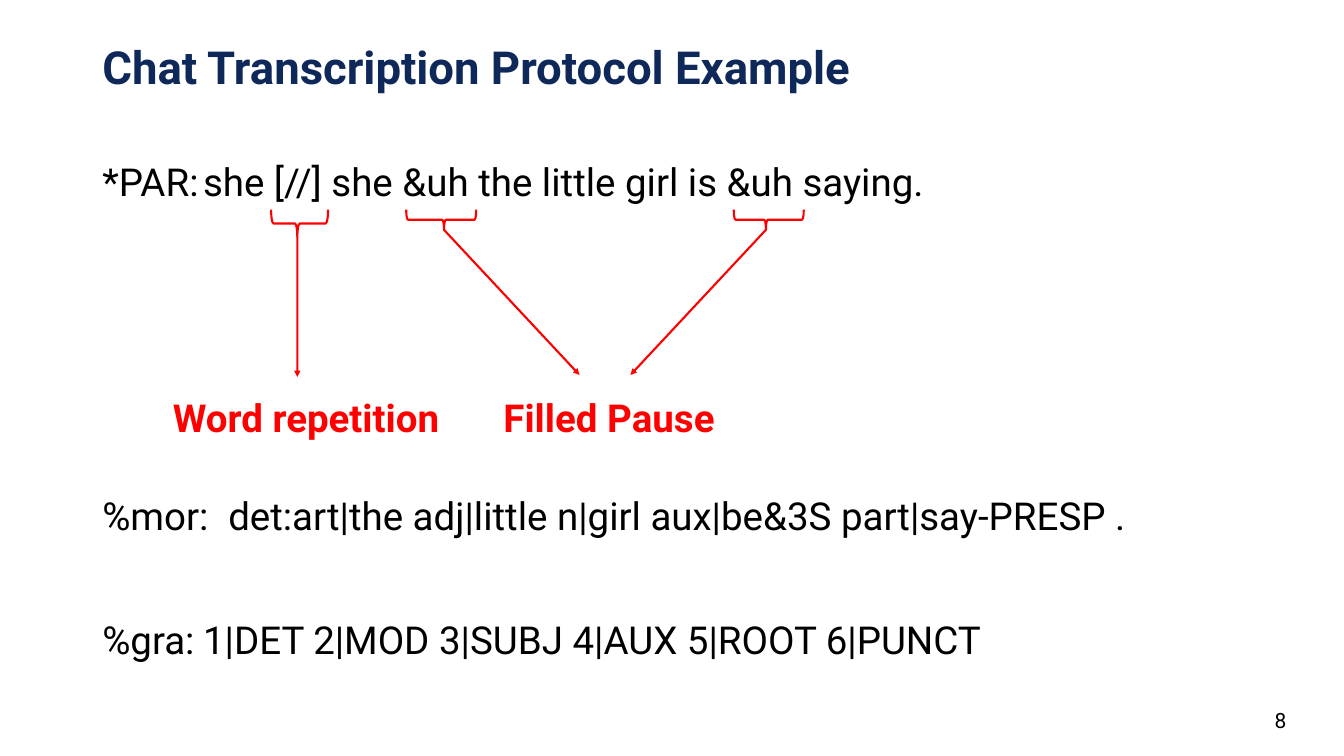
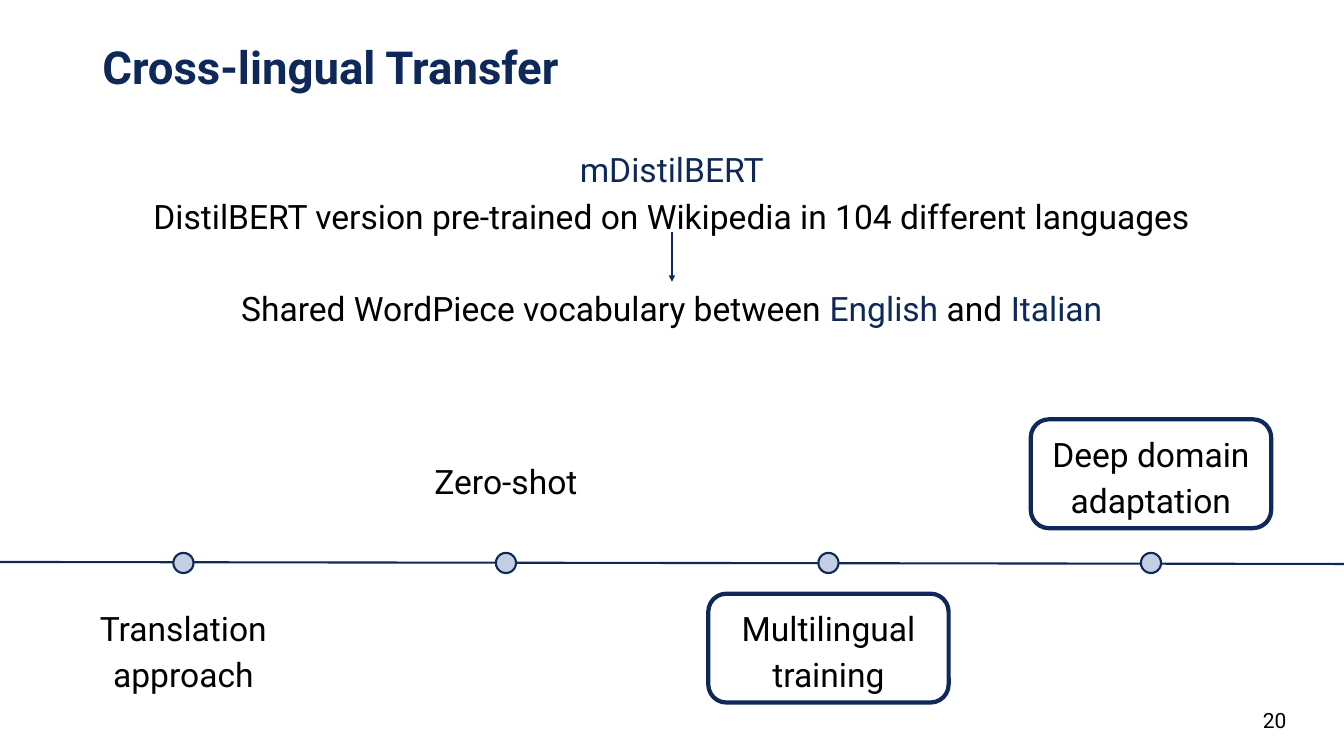
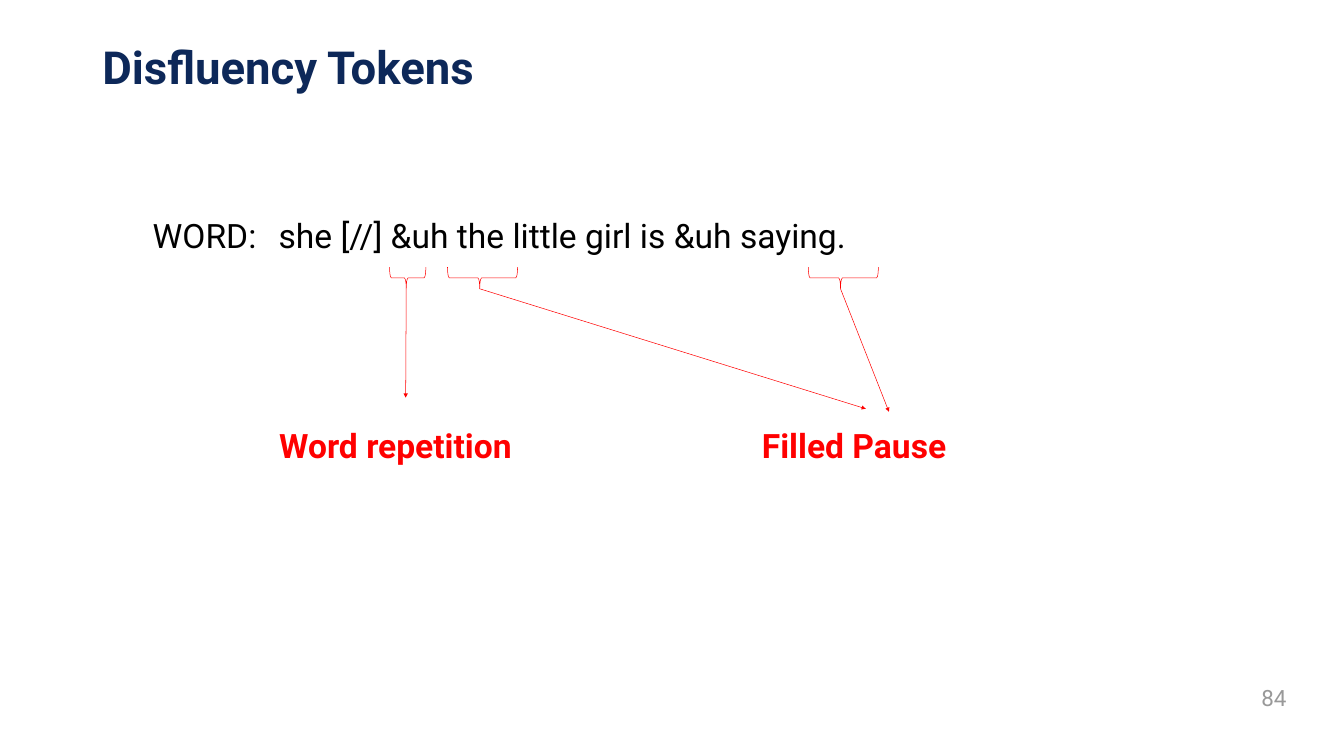
from lxml.etree import SubElement
from pptx import Presentation
from pptx.dml.color import RGBColor
from pptx.enum.shapes import MSO_CONNECTOR as Connector, MSO_SHAPE as Shape
from pptx.enum.text import MSO_ANCHOR as Anchor, MSO_AUTO_SIZE as AutoSize, PP_ALIGN as Align
from pptx.oxml.ns import qn
from pptx.util import Inches, Pt

# Shared look
WIDTH, HEIGHT = 26.67, 15
MARGIN, BODY_WIDTH = 1.83, 23
FONT = "Roboto"
COLORS = {"navy": "0D2859", "red": "FF0000", "black": "000000",
          "white": "FFFFFF", "pale": "C3CEE3", "grey": "999999"}
BRACE_CURVE, BRACE_TIP = 0.083, 0.54

# Chat transcription: (text, space before in points)
TRANSCRIPT = [("*PAR:\tshe [//] she &uh the little girl is &uh saying.", 0),
              ("%mor:\tdet:art|the adj|little n|girl aux|be&3S part|say-PRESP .", 417),
              ("%gra:\t1|DET 2|MOD 3|SUBJ 4|AUX 5|ROOT 6|PUNCT", 119)]
# Callouts: brace left, top, span, depth, tip share from the right, arrow end
TRANSCRIPT_CALLOUTS = [(5.38, 4.16, 1.13, 0.55, BRACE_TIP, (5.9, 7.48)),
                       (14.56, 4.16, 1.39, 0.4, BRACE_TIP, (12.51, 7.44)),
                       (8.06, 4.16, 1.39, 0.4, 1 - BRACE_TIP, (11.5, 7.44))]
TRANSCRIPT_LABELS = [("Word repetition", 2.23), ("Filled Pause", 8.79)]

# Disfluency tokens
WORD_LINE = "WORD:\tshe [//] &uh the little girl is &uh saying."
TOKEN_CALLOUTS = [(7.73, 5.3, 0.72, 0.43, BRACE_TIP, (8.05, 7.89)),
                  (8.88, 5.3, 1.39, 0.43, BRACE_TIP, (17.18, 8.11)),
                  (16.04, 5.3, 1.39, 0.43, BRACE_TIP, (17.64, 8.17))]
TOKEN_LABELS = [("Word repetition", 4.34), ("Filled Pause", 13.92)]
LABEL_SIZE = (7.43, 1.78)

# Cross-lingual transfer: (lines, label top, framed)
ABOVE, BELOW = 8.32, 11.78
STAGES = [(["Translation", "approach"], BELOW, False),
          (["Zero-shot"], ABOVE + 0.08, False),
          (["Multilingual", "training"], BELOW, True),
          (["Deep domain", "adaptation"], ABOVE, True)]
FIRST_STOP, STOP_GAP, STOP_Y, DOT = 3.64, 6.4, 11.17, 0.4
STAGE_WIDTH, FRAME_WIDTH, STAGE_HEIGHT = 5.97, 4.77, 2.16
MODEL_NAME = "mDistilBERT"
MODEL_NOTE = "DistilBERT version pre-trained on Wikipedia in 104 different languages"
VOCABULARY = [("Shared WordPiece vocabulary between ", "black"), ("English ", "navy"),
              ("and ", "black"), ("Italian", "navy")]


def color(name):
    return RGBColor.from_string(COLORS[name])


def set_frame(frame, anchor=Anchor.TOP, insets=(0.2, 0.1)):
    frame.word_wrap = True
    frame.auto_size = AutoSize.NONE
    frame.vertical_anchor = anchor
    frame.margin_left = frame.margin_right = Inches(insets[0])
    frame.margin_top = frame.margin_bottom = Inches(insets[1])
    return frame


def add_box(page, left, top, width, height, **options):
    box = page.shapes.add_textbox(*map(Inches, (left, top, width, height)))
    return set_frame(box.text_frame, **options)


def add_span(para, text, size, tint="black", bold=False):
    span = para.add_run()
    span.text = text
    span.font.name, span.font.size, span.font.bold = FONT, Pt(size), bold
    span.font.color.rgb = color(tint)


def add_para(frame, spans, size, align=Align.LEFT, spacing=0.9, before=0, indent=0, bold=False):
    para = frame.paragraphs[0]
    if para.runs:
        para = frame.add_paragraph()
    para.alignment, para.line_spacing = align, spacing
    if before:
        para.space_before = Pt(before)
    if indent:
        properties = para._p.get_or_add_pPr()
        properties.set("marL", str(Inches(indent)))
        properties.set("indent", "0")
    for text, tint in spans:
        add_span(para, text, size, tint, bold)
    return para


def add_shape(page, kind, left, top, width, height, line, points, fill=None):
    shape = page.shapes.add_shape(kind, *map(Inches, (left, top, width, height)))
    shape.shadow.inherit = False
    if fill:
        shape.fill.solid()
        shape.fill.fore_color.rgb = color(fill)
    else:
        shape.fill.background()
    shape.line.color.rgb, shape.line.width = color(line), Pt(points)
    return shape


def add_line(page, start, end, tint, points, arrow=True):
    line = page.shapes.add_connector(Connector.STRAIGHT, *map(Inches, (*start, *end)))
    line.line.color.rgb, line.line.width = color(tint), Pt(points)
    if arrow:
        SubElement(line.line._get_or_add_ln(), qn("a:tailEnd"), type="triangle")
    SubElement(line._element.spPr, qn("a:effectLst"))


def add_callout(page, left, top, span, depth, tip, end, points):
    """Brace under a token, with an arrow from its tip."""
    middle_x, middle_y = left + span / 2, top + depth / 2
    brace = add_shape(page, Shape.RIGHT_BRACE, middle_x - depth / 2, middle_y - span / 2,
                      depth, span, "red", points)
    brace.rotation = 90
    brace.adjustments[0], brace.adjustments[1] = BRACE_CURVE, tip
    add_line(page, (left + span * (1 - tip), top + depth), end, "red", points)


def add_page(deck, title, title_height=1.16):
    page = deck.slides.add_slide(deck.slide_layouts[5])
    page.background.fill.solid()
    page.background.fill.fore_color.rgb = color("white")
    holder = page.shapes.title
    holder.left, holder.top = Inches(MARGIN), Inches(0.8)
    holder.width, holder.height = Inches(BODY_WIDTH), Inches(title_height)
    add_para(set_frame(holder.text_frame), [(title, "navy")], 65, bold=True)
    return page


def add_number(page, number, top=13.91, height=0.76, size=30, tint="black", anchor=Anchor.MIDDLE):
    frame = add_box(page, 24.01, top, 1.58, height, anchor=anchor, insets=(0.06, 0.06))
    add_para(frame, [(number, tint)], size, Align.RIGHT, spacing=1.0)


def add_labels(page, labels, top, size, **options):
    for text, left in labels:
        frame = add_box(page, left, top, *LABEL_SIZE, **options)
        add_para(frame, [(text, "red")], size, indent=1, bold=True)


def build_transcript(deck):
    page = add_page(deck, "Chat Transcription Protocol Example")
    body = add_box(page, MARGIN, 3.14, BODY_WIDTH, 10.37)
    for text, before in TRANSCRIPT:
        add_para(body, [(text, "black")], 55, before=before)
    add_labels(page, TRANSCRIPT_LABELS, 7.44, 55, anchor=Anchor.MIDDLE)
    for callout in TRANSCRIPT_CALLOUTS:
        add_callout(page, *callout, points=3)
    add_number(page, "8")


def build_transfer(deck):
    page = add_page(deck, "Cross-lingual Transfer")
    # Timeline
    add_line(page, (0, STOP_Y - 0.02), (WIDTH, STOP_Y + 0.02), "navy", 3, arrow=False)
    for index, (lines, top, framed) in enumerate(STAGES):
        stop = FIRST_STOP + index * STOP_GAP
        add_shape(page, Shape.OVAL, stop - DOT / 2, STOP_Y - DOT / 2, DOT, DOT, "navy", 3, "pale")
        if framed:
            add_shape(page, Shape.ROUNDED_RECTANGLE, stop - FRAME_WIDTH / 2, top,
                      FRAME_WIDTH, STAGE_HEIGHT, "navy", 6, "white")
        label = add_box(page, stop - STAGE_WIDTH / 2, top, STAGE_WIDTH, STAGE_HEIGHT,
                        anchor=Anchor.MIDDLE)
        for text in lines:
            add_para(label, [(text, "black")], 48, Align.CENTER, 1.15)
    # Model description
    body = add_box(page, MARGIN, 2.74, BODY_WIDTH, 3.52)
    para = add_para(body, [(MODEL_NAME, "navy")], 48, Align.CENTER, 1.15)
    para.add_line_break()
    add_span(para, MODEL_NOTE, 48)
    add_para(body, VOCABULARY, 48, Align.CENTER, 1.15, before=66)
    add_line(page, (WIDTH / 2, 4.61), (WIDTH / 2, 5.59), "navy", 3)
    add_number(page, "20")


def build_tokens(deck):
    page = add_page(deck, "Disfluency Tokens", title_height=2.9)
    low_text = (0.2, 0.36)
    body = add_box(page, MARGIN, 3.99, BODY_WIDTH, 9.52, insets=low_text)
    add_para(body, [(WORD_LINE, "black")], 48, indent=1)
    for callout in TOKEN_CALLOUTS:
        add_callout(page, *callout, points=0.75)
    add_labels(page, TOKEN_LABELS, 8.17, 48, insets=low_text)
    add_number(page, "84", 13.51, 1.16, 32, "grey", Anchor.TOP)


def main():
    deck = Presentation()
    deck.slide_width, deck.slide_height = Inches(WIDTH), Inches(HEIGHT)
    build_transcript(deck)
    build_transfer(deck)
    build_tokens(deck)
    deck.save("out.pptx")


if __name__ == "__main__":
    main()
